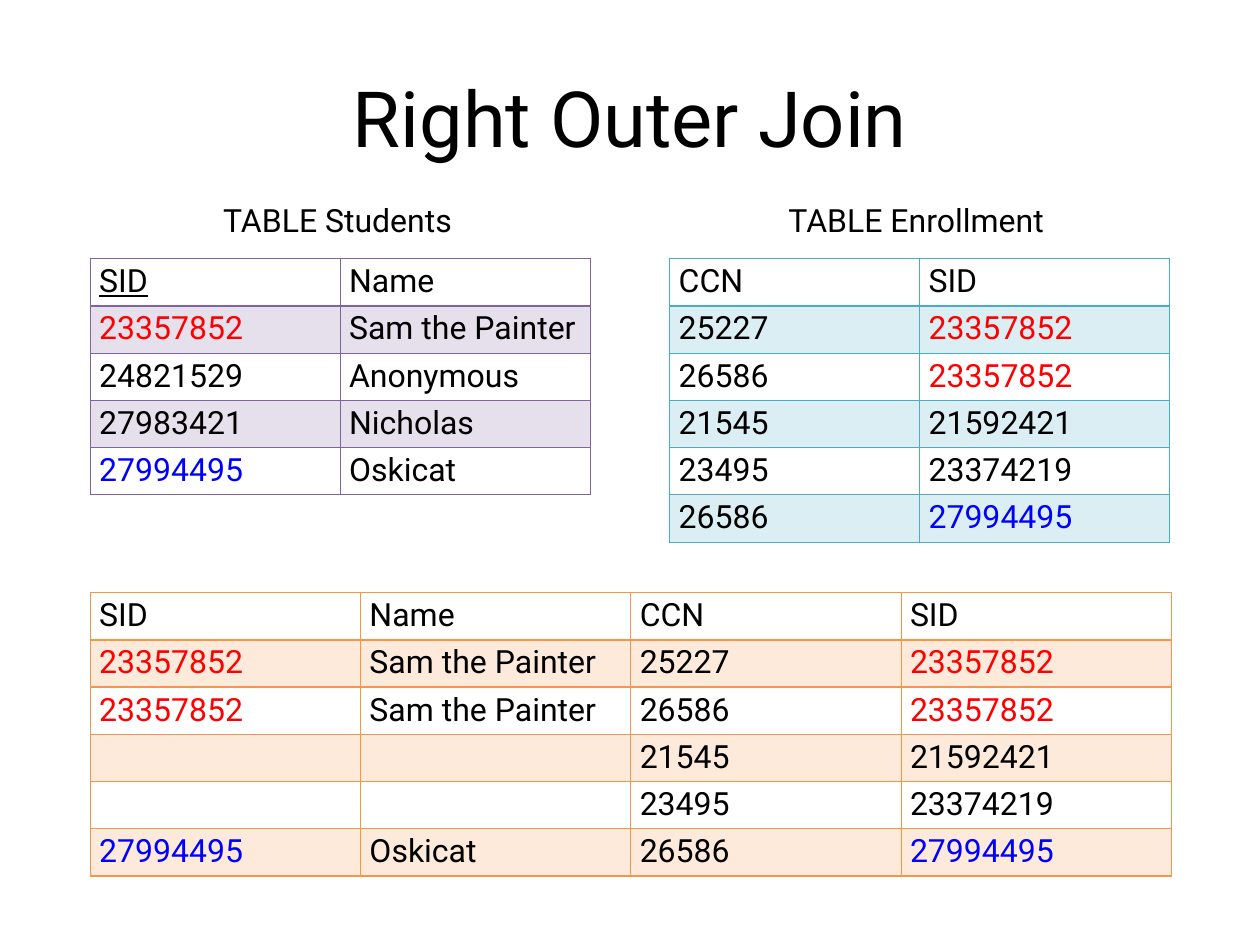
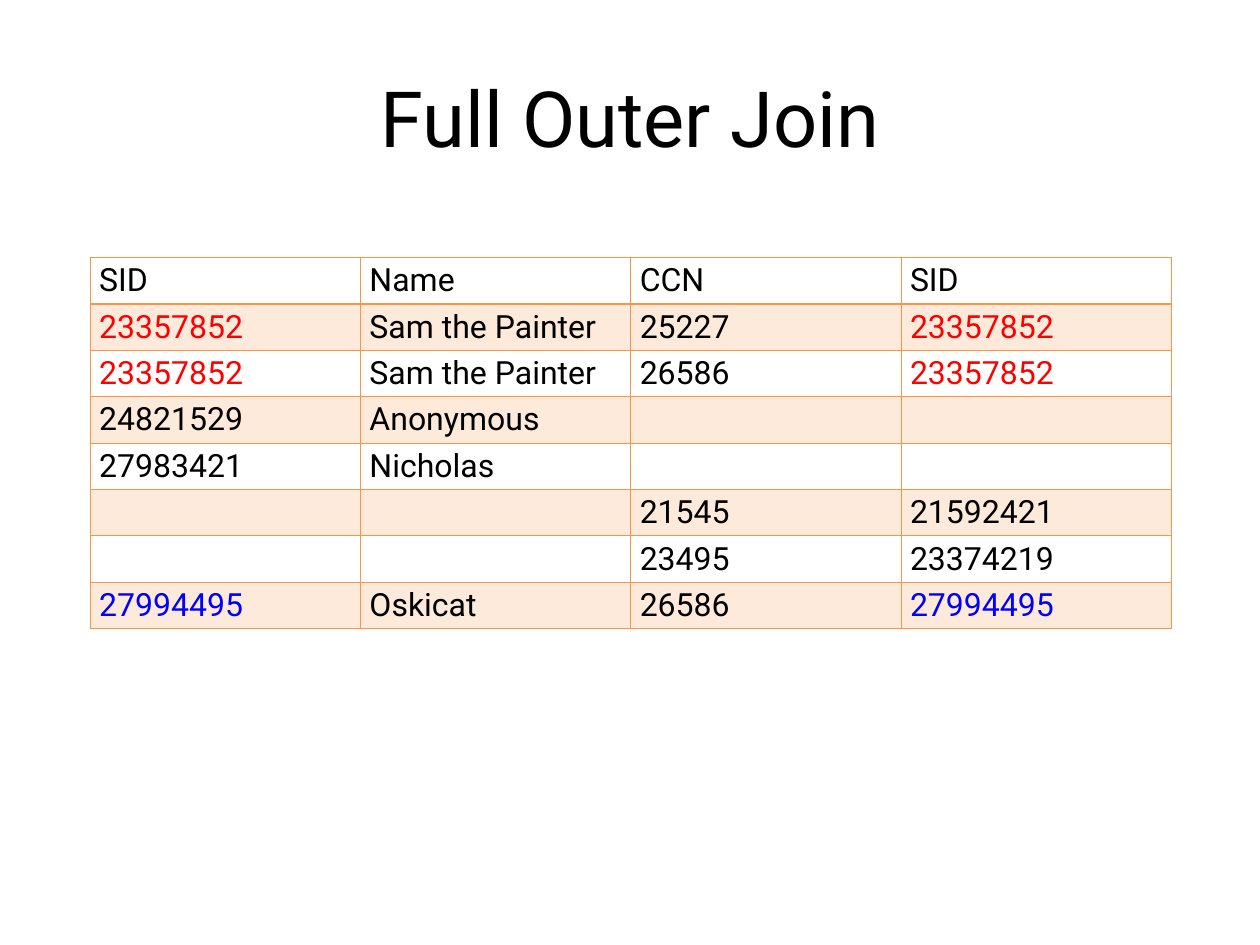
import pptx
import pptx.util
import pptx.dml.color
import pptx.enum.text
import pptx.oxml
import pptx.oxml.ns
from pptx.util import Inches

# Shared style
FONT, BODY_SIZE, TITLE_SIZE = "Roboto", 26, 63
BLACK = "000000"
PURPLE, TEAL, ORANGE = "8064A2", "4BACC6", "F79646"
MATCH_COLORS = {"23357852": "FF0000", "27994495": "0000FF"}
BAND_ALPHA = 20
LEFT, COL_W, JOIN_COL_W = 1.02, 2.82, 3.05

# Content
STUDENTS = [
    ("SID", "Name"),
    ("23357852", "Sam the Painter"),
    ("24821529", "Anonymous"),
    ("27983421", "Nicholas"),
    ("27994495", "Oskicat"),
]
ENROLLMENT = [
    ("CCN", "SID"),
    ("25227", "23357852"),
    ("26586", "23357852"),
    ("21545", "21592421"),
    ("23495", "23374219"),
    ("26586", "27994495"),
]
SAM, OSKICAT, NO_MATCH = STUDENTS[1], STUDENTS[4], ("", "")
MATCHED_STUDENTS = [STUDENTS[0], SAM, SAM, NO_MATCH, NO_MATCH, OSKICAT]
RIGHT_JOIN = [s + e for s, e in zip(MATCHED_STUDENTS, ENROLLMENT)]
UNENROLLED = [student + NO_MATCH for student in STUDENTS[2:4]]
FULL_JOIN = RIGHT_JOIN[:3] + UNENROLLED + RIGHT_JOIN[3:]

# Tables: rows, colour, left, top, column width, row height
# Labels: text, left, top, width
SLIDES = [
    {
        "title": "Right Outer Join",
        "labels": [("TABLE Students", 2.42, 2.21, 2.87),
                   ("TABLE Enrollment", 8.8, 2.21, 3.17)],
        "tables": [(STUDENTS, PURPLE, LEFT, 2.92, COL_W, 3.2 / 6),
                   (ENROLLMENT, TEAL, 7.56, 2.92, COL_W, 3.2 / 6),
                   (RIGHT_JOIN, ORANGE, LEFT, 6.69, JOIN_COL_W, 3.2 / 6)],
    },
    {
        "title": "Full Outer Join",
        "labels": [],
        "tables": [(FULL_JOIN, ORANGE, LEFT, 2.91, JOIN_COL_W, 4.19 / 8)],
    },
]


def rgb(color):
    return pptx.dml.color.RGBColor.from_string(color)


def add_run(p, text, size=BODY_SIZE, color=BLACK, underline=None):
    r = p.add_run()
    r.text = text
    r.font.name = FONT
    r.font.size = pptx.util.Pt(size)
    r.font.bold = False
    r.font.underline = underline
    r.font.color.rgb = rgb(color)


def add_title(s, text):
    sp = s.shapes.title
    sp.left, sp.top, sp.width, sp.height = map(Inches, (0.71, 0.43, 12.8, 1.78))
    tf = sp.text_frame
    tf.auto_size = pptx.enum.text.MSO_AUTO_SIZE.NONE
    tf.vertical_anchor = pptx.enum.text.MSO_ANCHOR.MIDDLE
    tf.margin_left = tf.margin_right = Inches(0.14)
    tf.margin_top = tf.margin_bottom = Inches(0.07)
    p = tf.paragraphs[0]
    p.alignment = pptx.enum.text.PP_ALIGN.CENTER
    add_run(p, text, TITLE_SIZE)


def add_label(s, text, left, top, width):
    sp = s.shapes.add_textbox(*map(Inches, (left, top, width, 0.54)))
    tf = sp.text_frame
    tf.word_wrap = False
    tf.auto_size = pptx.enum.text.MSO_AUTO_SIZE.SHAPE_TO_FIT_TEXT
    add_run(tf.paragraphs[0], text)


def set_borders(cell, color, row):
    # The rule under the header is twice as thick
    widths = {"L": 1, "R": 1, "T": 2 if row == 1 else 1, "B": 2 if row == 0 else 1}
    tc_pr = cell._tc.get_or_add_tcPr()
    for side, width in widths.items():
        tc_pr.append(pptx.oxml.parse_xml(
            f'<a:ln{side} {pptx.oxml.ns.nsdecls("a")} w="{pptx.util.Pt(width)}">'
            f'<a:solidFill><a:srgbClr val="{color}"/></a:solidFill></a:ln{side}>'))


def set_fill(cell, color, banded):
    if not banded:
        cell.fill.background()
        return
    cell.fill.solid()
    cell.fill.fore_color.rgb = rgb(color)
    clr = cell._tc.tcPr.find(pptx.oxml.ns.qn("a:solidFill"))[0]
    clr.append(pptx.oxml.parse_xml(
        f'<a:alpha {pptx.oxml.ns.nsdecls("a")} val="{BAND_ALPHA * 1000}"/>'))


def add_data_table(s, rows, color, left, top, col_w, row_h):
    n_rows, n_cols = len(rows), len(rows[0])
    table = s.shapes.add_table(
        n_rows, n_cols, Inches(left), Inches(top),
        Inches(n_cols * col_w), Inches(n_rows * row_h)).table
    table.first_row = table.horz_banding = False
    for column in table.columns:
        column.width = Inches(col_w)
    for i, values in enumerate(rows):
        table.rows[i].height = Inches(row_h)
        for j, text in enumerate(values):
            cell = table.cell(i, j)
            set_borders(cell, color, i)
            set_fill(cell, color, banded=i % 2 == 1)
            if text:
                # The primary key of the students table is underlined
                is_key = rows is STUDENTS and (i, j) == (0, 0)
                add_run(cell.text_frame.paragraphs[0], text,
                        color=MATCH_COLORS.get(text, BLACK),
                        underline=is_key or None)


def main():
    prs = pptx.Presentation()
    prs.slide_width, prs.slide_height = Inches(14.22), Inches(10.67)
    for content in SLIDES:
        s = prs.slides.add_slide(prs.slide_layouts[5])
        add_title(s, content["title"])
        for label in content["labels"]:
            add_label(s, *label)
        for data_table in content["tables"]:
            add_data_table(s, *data_table)
    prs.save("out.pptx")


if __name__ == "__main__":
    main()
